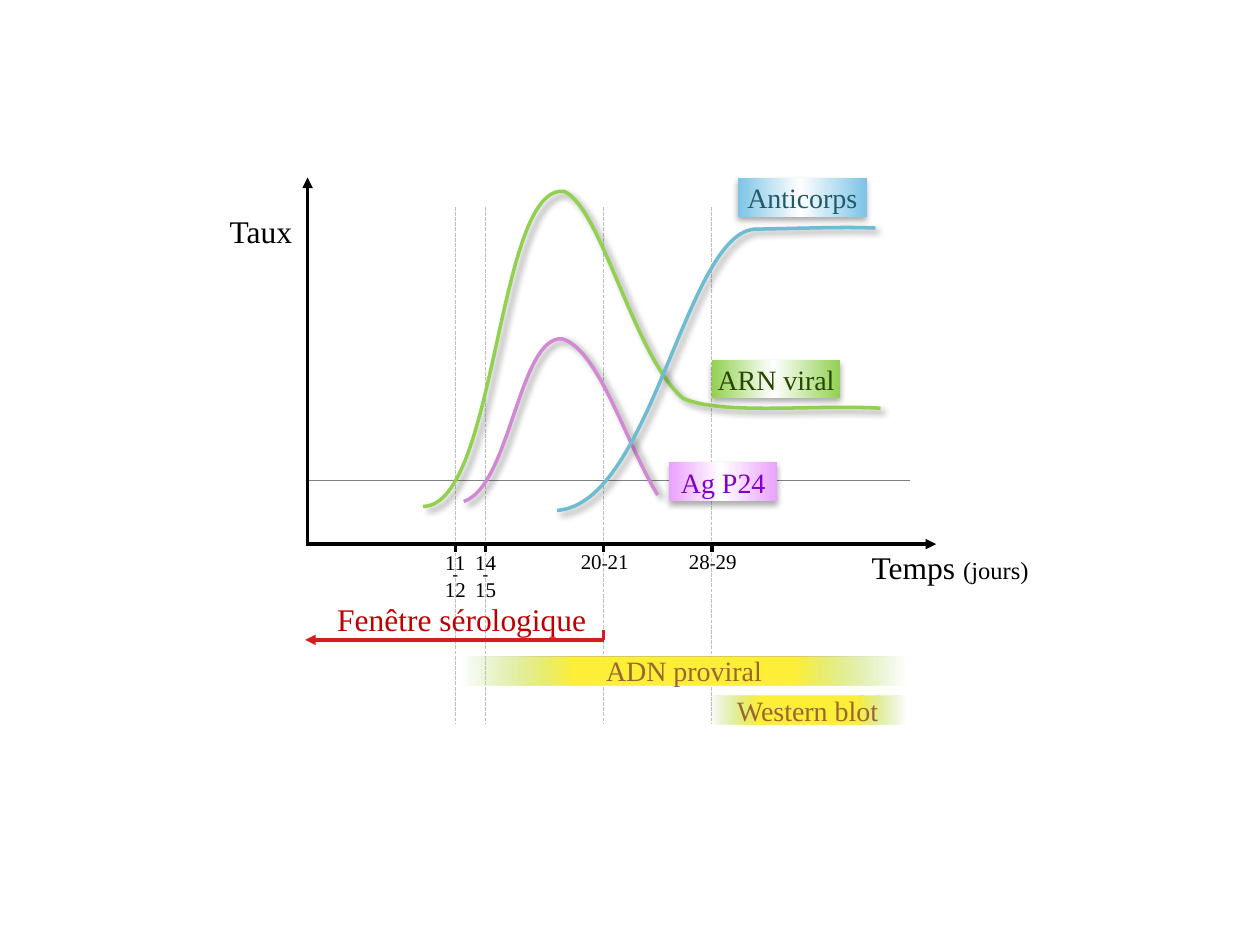
from lxml import etree
from pptx import Presentation
from pptx.dml.color import RGBColor as RGB
from pptx.enum.dml import MSO_LINE as Dash
from pptx.enum.shapes import MSO_CONNECTOR as Conn, MSO_SHAPE as Shape
from pptx.enum.text import MSO_ANCHOR as Anchor, PP_ALIGN as Align
from pptx.oxml.ns import qn
from pptx.util import Cm, Pt

FONT = "Times New Roman"
HEX = {
    "black": "000000", "grid": "BFBFBF", "limit": "808080", "white": "FFFFFF",
    "green": "92D050", "pink": "D189D3", "blue": "6DBCD1",
    "lilac": "EAA0FE", "sky": "7DC4E7", "yellow": "FEF038", "red": "D31F1B",
    "arn": "274701", "p24": "7E02CA", "anti": "215968",
    "brown": "996633", "title": "C00000",
}
DAYS = [2.98, 3.59, 5.97, 8.15]  # x of the key days, from the time origin


def rgb(name):
    return RGB.from_string(HEX[name])


def add_xml(parent, tag, **attrs):
    return etree.SubElement(parent, qn(tag), {k: str(v) for k, v in attrs.items()})


def add_tint(parent, name, alpha):
    """Add a colour element; alpha is in percent."""
    tint = add_xml(parent, "a:srgbClr", val=HEX[name])
    if alpha < 100:
        add_xml(tint, "a:alpha", val=alpha * 1000)


def line(slide, box, start, end, color, width=2, dash=None, arrow=False):
    x, y = box
    conn = slide.shapes.add_connector(
        Conn.STRAIGHT, Cm(x + start[0]), Cm(y + start[1]),
        Cm(x + end[0]), Cm(y + end[1]))
    conn.line.color.rgb = rgb(color)
    conn.line.width = Pt(width)
    if dash:
        conn.line.dash_style = dash
    if arrow:
        add_xml(conn.line._get_or_add_ln(), "a:tailEnd", type="triangle")
    add_xml(conn._element.spPr, "a:effectLst")


def shade(shape, alpha, blur, dist, angle):
    shape.shadow.inherit = False
    effects = shape._element.spPr.find(qn("a:effectLst"))
    outer = add_xml(effects, "a:outerShdw", blurRad=Pt(blur), dist=Pt(dist),
                    dir=angle * 60000, rotWithShape=0)
    add_tint(outer, "black", alpha)


def blend(shape, stops):
    """Fill with a left-to-right gradient of (percent, colour, alpha) stops."""
    shape.fill.background()
    props = shape._element.spPr
    grad = etree.Element(qn("a:gradFill"), rotWithShape="1")
    items = add_xml(grad, "a:gsLst")
    for pos, name, alpha in stops:
        add_tint(add_xml(items, "a:gs", pos=pos * 1000), name, alpha)
    add_xml(grad, "a:lin", ang=0, scaled=0)
    props.replace(props.find(qn("a:noFill")), grad)


def write(shape, *paras, size=18, color="black", anchor=Anchor.MIDDLE,
          wrap=True, pad=(0.25, 0.2), leads=()):
    """Each paragraph is a list of strings or (string, size) runs."""
    frame = shape.text_frame
    frame.word_wrap = wrap
    frame.vertical_anchor = anchor
    frame.margin_left = frame.margin_right = Cm(pad[0])
    frame.margin_top = frame.margin_bottom = Cm(pad[1])
    for i, runs in enumerate(paras):
        para = frame.add_paragraph() if i else frame.paragraphs[0]
        para.alignment = Align.CENTER
        if leads:
            para.line_spacing = Pt(leads[i])
        for item in runs:
            text, points = (item, size) if isinstance(item, str) else item
            run = para.add_run()
            run.text = text
            run.font.name, run.font.size = FONT, Pt(points)
            run.font.color.rgb = rgb(color)


def area(box, x, y, w, h):
    return Cm(box[0] + x), Cm(box[1] + y), Cm(w), Cm(h)


def label(slide, box, place, *paras, **style):
    write(slide.shapes.add_textbox(*area(box, *place)), *paras, **style)


def band(slide, box, place, text, stops, color, **style):
    shape = slide.shapes.add_shape(Shape.RECTANGLE, *area(box, *place))
    shape.shadow.inherit = False
    shape.line.fill.background()
    blend(shape, stops)
    write(shape, [text], size=16, color=color, **style)
    return shape


def curve(slide, box, color, points):
    """Draw Bezier arcs: a start, then two controls and an end for each arc."""
    spots = [(Cm(box[0] + x), Cm(box[1] + y)) for x, y in points]
    pen = slide.shapes.build_freeform(*spots[0], scale=1.0)
    pen.add_line_segments(spots[1:], close=False)
    shape = pen.convert_to_shape()
    steps = list(shape._element.iter(qn("a:lnTo")))
    for i in range(0, len(steps), 3):
        arc = add_xml(steps[i].getparent(), "a:cubicBezTo")
        for step in steps[i:i + 3]:
            arc.append(step[0])
            step.getparent().remove(step)
    shape.fill.background()
    shape.line.color.rgb = rgb(color)
    shape.line.width = Pt(2)
    shade(shape, 40, 4, 3, 45)


def draw_graph(slide, box):
    base = 7.39
    for x in DAYS:
        line(slide, box, (x, 0.59), (x, 11), "grid", 0.75, Dash.SQUARE_DOT)
    line(slide, box, (0, 6.1), (12.14, 6.1), "limit", 0.75)

    curve(slide, box, "green", [
        (2.33, 6.63), (3.83, 6.61), (3.81, 0.1), (5.18, 0.28), (5.94, 0.64),
        (6.58, 3.61), (7.57, 4.45), (8.35, 4.8), (10.23, 4.57), (11.55, 4.65)])
    curve(slide, box, "pink", [
        (3.15, 6.53), (4.09, 6.22), (4.26, 3.2), (5.13, 3.25),
        (5.87, 3.46), (6.42, 5.36), (7.06, 6.4)])
    curve(slide, box, "blue", [
        (5.03, 6.71), (6.96, 6.58), (7.64, 0.99), (9.07, 1.04),
        (10.16, 1.02), (10.87, 0.99), (11.45, 1.02)])

    line(slide, box, (-0.03, base), (12.67, base), "black", arrow=True)
    line(slide, box, (0, base + 0.03), (0, 0), "black", arrow=True)
    label(slide, box, (-1.83, 0.59, 1.78, 0.99), ["Taux"])
    label(slide, box, (10.67, 7.55, 4.57, 0.58), ["Temps ", ("(jours)", 14)])

    for x, (first, last) in zip(DAYS, [(11, 12), (14, 15), (20, 21), (28, 29)]):
        line(slide, box, (x, base - 0.02), (x, base + 0.16), "black")
        dash = ("-", 10)
        style = dict(size=12, anchor=Anchor.TOP, wrap=False, pad=(0.25, 0.13))
        if last < 20:
            label(slide, box, (x - 0.47, 7.53, 0.94, 1.14),
                  [str(first)], [dash], [str(last)], leads=(10, 5, 10), **style)
        else:
            label(slide, box, (x - 0.73, 7.34, 1.5, 0.76),
                  [str(first), dash, str(last)], **style)

    for text, tint, color, place in [
            ("ARN viral", "green", "arn", (8.15, 3.68, 2.59, 0.76)),
            ("Ag P24", "lilac", "p24", (7.29, 5.74, 2.18, 0.79)),
            ("Anticorps", "sky", "anti", (8.68, 0, 2.59, 0.79))]:
        stops = [(0, tint, 100), (48, "white", 100), (100, tint, 100)]
        tag = band(slide, box, place, text, stops, color, pad=(0.05, 0.05))
        shade(tag, 32, 3.5, 2.2, 90)


def draw_tests(slide, box):
    """Draw the serological window and the test periods below the graph."""
    end = DAYS[2]
    label(slide, box, (-0.05, 0, 6.32, 0.71), ["Fenêtre sérologique"],
          color="title")
    line(slide, box, (end, 0.78), (-0.05, 0.78), "red", arrow=True)
    line(slide, box, (end, 0.58), (end, 0.78), "red")
    stops = [(0, "green", 0), (25, "yellow", 100), (48, "yellow", 100),
             (75, "yellow", 100), (100, "green", 0)]
    right = 12.06
    for text, x, y in [("ADN proviral", 3.12, 1.11), ("Western blot", 8.1, 1.9)]:
        band(slide, box, (x, y, right - x, 0.58), text, stops, "brown")


def main():
    deck = Presentation()
    deck.slide_width, deck.slide_height = Cm(25.4), Cm(19.05)
    slide = deck.slides.add_slide(deck.slide_layouts[6])
    draw_graph(slide, (6.2, 3.58))
    draw_tests(slide, (6.2, 12.12))
    deck.save("out.pptx")


if __name__ == "__main__":
    main()
